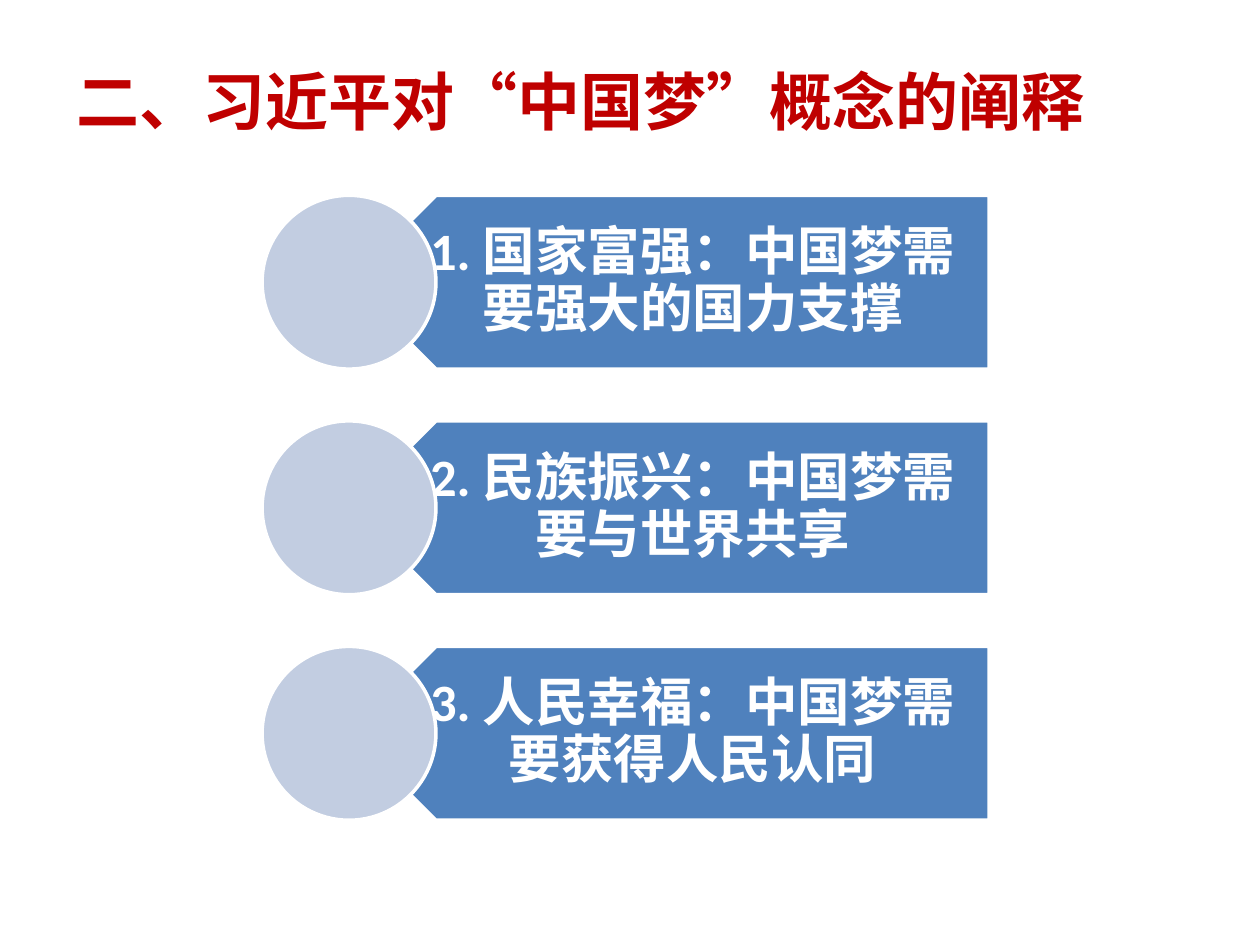
import pptx
import pptx.util
import pptx.dml.color
import pptx.enum.shapes
import pptx.enum.text
import pptx.oxml.ns
from lxml import etree

Pt = pptx.util.Pt
SHAPE = pptx.enum.shapes.MSO_SHAPE
ALIGN = pptx.enum.text.PP_ALIGN
ANCHOR = pptx.enum.text.MSO_ANCHOR

COLORS = {"title": "BF0000", "banner": "4F81BD", "circle": "C2CDE1", "white": "FFFFFF"}
CJK_FONT = "Noto Sans CJK SC"
ITEMS = [
    "1. 国家富强：中国梦需要强大的国力支撑",
    "2. 民族振兴：中国梦需要与世界共享",
    "3. 人民幸福：中国梦需要获得人民认同",
]
BANNER_LEFT, BANNER_WIDTH, ROW_HEIGHT = 199.44, 365.76, 99.36
FIRST_TOP, ROW_STEP = 111.6, 128.88


def rgb(name):
    return pptx.dml.color.RGBColor.from_string(COLORS[name])


def set_text(sp, text, size, color, font=CJK_FONT, align=ALIGN.LEFT,
             spacing=1.0, margins=(7.2, 3.6, 7.2, 3.6)):
    tf = sp.text_frame
    tf.word_wrap = True
    tf.auto_size = pptx.enum.text.MSO_AUTO_SIZE.NONE
    tf.vertical_anchor = ANCHOR.MIDDLE
    tf.margin_left, tf.margin_top, tf.margin_right, tf.margin_bottom = map(Pt, margins)
    p = tf.paragraphs[0]
    p.alignment = align
    p.line_spacing = spacing
    r = p.add_run()
    r.text = text
    r.font.name = font
    r.font.size = Pt(size)
    r.font.bold = True
    r.font.color.rgb = rgb(color)
    r.font.language_id = pptx.enum.lang.MSO_LANGUAGE_ID.SIMPLIFIED_CHINESE
    ea = etree.Element(pptx.oxml.ns.qn("a:ea"), typeface=CJK_FONT)
    r.font._element.find(pptx.oxml.ns.qn("a:latin")).addnext(ea)


def add_shape(s, kind, left, top, width, height, fill):
    sp = s.shapes.add_shape(kind, Pt(left), Pt(top), Pt(width), Pt(height))
    sp.shadow.inherit = False
    sp.fill.solid()
    sp.fill.fore_color.rgb = rgb(fill)
    sp.line.color.rgb = rgb("white")
    sp.line.width = Pt(2)
    return sp


def add_title(s, text):
    sp = s.shapes.title
    sp.left, sp.top, sp.width, sp.height = Pt(36.72), Pt(31.68), Pt(671.76), Pt(51.12)
    set_text(sp, text, 36, "title")


def add_item(s, text, top):
    banner = add_shape(s, SHAPE.PENTAGON, BANNER_LEFT, top, BANNER_WIDTH, ROW_HEIGHT, "banner")
    banner.rotation = 180
    tb = s.shapes.add_textbox(Pt(BANNER_LEFT), Pt(top), Pt(BANNER_WIDTH), Pt(ROW_HEIGHT))
    set_text(tb, text, 30, "white", font="Calibri", align=ALIGN.CENTER,
             spacing=0.9, margins=(44, 8.64, 17, 8.64))
    add_shape(s, SHAPE.OVAL, BANNER_LEFT - ROW_HEIGHT / 2, top, ROW_HEIGHT, ROW_HEIGHT, "circle")


def main():
    prs = pptx.Presentation()
    prs.slide_width, prs.slide_height = Pt(720), Pt(540)
    s = prs.slides.add_slide(prs.slide_layouts[5])
    add_title(s, "二、习近平对“中国梦”概念的阐释")
    for i, text in enumerate(ITEMS):
        add_item(s, text, FIRST_TOP + i * ROW_STEP)
    prs.save("out.pptx")


import pptx.enum.lang

if __name__ == "__main__":
    main()
